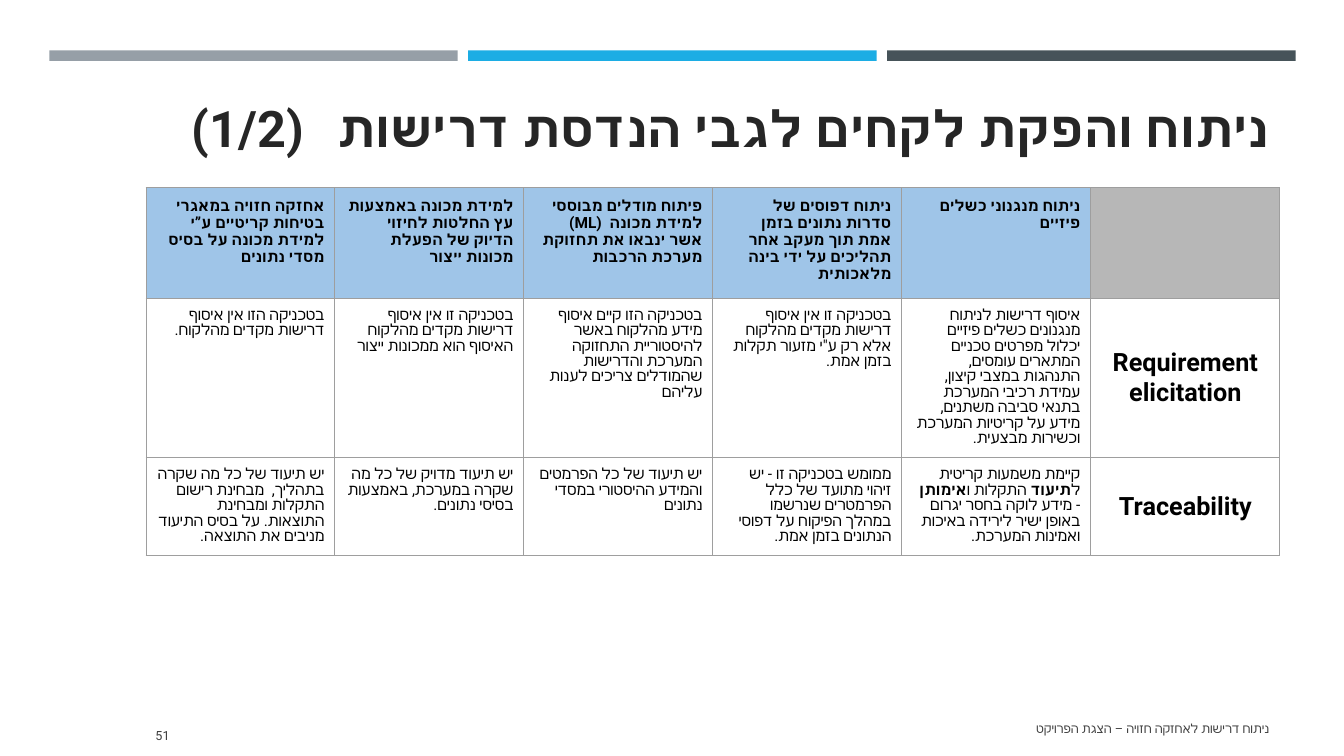
from lxml.etree import SubElement as Sub
from pptx import Presentation
from pptx.dml.color import RGBColor as RGB
from pptx.enum.shapes import MSO_SHAPE as Shape
from pptx.enum.text import MSO_ANCHOR as Anchor, PP_ALIGN as Align
from pptx.oxml.ns import qn
from pptx.util import Pt

PX = 9525
FONT = "Roboto"
SLATE = RGB(0x46, 0x53, 0x59)
SILVER = RGB(0x96, 0x9F, 0xA7)
CYAN = RGB(0x1C, 0xAD, 0xE4)
SKY = RGB(0x9F, 0xC5, 0xE8)
GRAY = RGB(0xB7, 0xB7, 0xB7)
RULE = RGB(0x9E, 0x9E, 0x9E)
INK = RGB(0x26, 0x26, 0x26)
DIM = RGB(0x3F, 0x3F, 0x3F)
BLACK = RGB(0, 0, 0)

HEADS = [
    "אחזקה חזויה במאגרי בטיחות קריטיים ע”י למידת מכונה על בסיס מסדי נתונים",
    "למידת מכונה באמצעות עץ החלטות לחיזוי הדיוק של הפעלת מכונות ייצור",
    "פיתוח מודלים מבוססי למידת מכונה  (ML)  אשר ינבאו את תחזוקת מערכת הרכבות",
    "ניתוח דפוסים של סדרות נתונים בזמן אמת תוך מעקב אחר תהליכים על ידי בינה מלאכותית",
    "ניתוח מנגנוני כשלים פיזיים",
    "",
]
# Asterisks switch bold on and off
BODY = [
    [
        "בטכניקה הזו אין איסוף דרישות מקדים מהלקוח.",
        "בטכניקה זו אין איסוף דרישות מקדים מהלקוח\nהאיסוף הוא ממכונות ייצור",
        "בטכניקה הזו קיים איסוף מידע מהלקוח באשר להיסטוריית התחזוקה המערכת "
        "והדרישות שהמודלים צריכים לענות עליהם",
        "בטכניקה זו אין איסוף דרישות מקדים מהלקוח אלא רק ע\"י מזעור תקלות בזמן אמת.",
        "איסוף דרישות לניתוח מנגנונים כשלים פיזיים יכלול מפרטים טכניים המתארים "
        "עומסים, התנהגות במצבי קיצון, עמידת רכיבי המערכת בתנאי סביבה משתנים, "
        "מידע על קריטיות המערכת וכשירות מבצעית.",
        "Requirement elicitation",
    ],
    [
        "יש תיעוד של כל מה שקרה בתהליך,  מבחינת רישום התקלות ומבחינת התוצאות. "
        "על בסיס התיעוד מניבים את התוצאה.",
        "יש תיעוד מדויק של כל מה שקרה במערכת, באמצעות בסיסי נתונים.",
        "יש תיעוד של כל הפרמטים והמידע ההיסטורי במסדי נתונים",
        "ממומש בטכניקה זו - יש זיהוי מתועד של כלל הפרמטרים שנרשמו במהלך "
        "הפיקוח על דפוסי הנתונים בזמן אמת.",
        "קיימת משמעות קריטית ל*תיעוד* התקלות ו*אימותן *- מידע לוקה בחסר יגרום "
        "באופן ישיר לירידה באיכות ואמינות המערכת.",
        "Traceability",
    ],
]


def write(frame, text, size, color, bold=False, rtl=True, align=Align.RIGHT,
          lead=None, stops=()):
    frame.word_wrap = True
    for i, line in enumerate(text.split("\n")):
        para = frame.add_paragraph() if i else frame.paragraphs[0]
        para.alignment = align
        if lead:
            para.line_spacing = Pt(lead)
        props = para._p.get_or_add_pPr()
        if rtl:
            props.set("rtl", "1")
        if stops:
            tabs = Sub(props, qn("a:tabLst"))
            for stop in stops:
                Sub(tabs, qn("a:tab"), pos=str(stop * PX), algn="l")
        for j, part in enumerate(line.split("*")):
            run = para.add_run()
            run.text = part
            font = run.font
            font.name, font.size = FONT, Pt(size)
            font.bold = bold or j % 2 == 1
            font.color.rgb = color
            Sub(run._r.get_or_add_rPr(), qn("a:cs"), typeface=FONT)


def add_bars(slide, x, y, w, h):
    gap = 10
    wide = (w - 2 * gap) // 3
    for i, color in enumerate([SILVER, CYAN, SLATE]):
        left = x + i * (wide + gap)
        bar = slide.shapes.add_shape(Shape.RECTANGLE, left * PX, y * PX, wide * PX, h * PX)
        bar.shadow.inherit = False
        bar.fill.solid()
        bar.fill.fore_color.rgb = color
        bar.line.fill.background()


def add_text(slide, x, y, w, h, text, size, color, bold=False, anchor=Anchor.MIDDLE, stops=()):
    box = slide.shapes.add_textbox(x * PX, y * PX, w * PX, h * PX)
    box.text_frame.vertical_anchor = anchor
    write(box.text_frame, text, size, color, bold, stops=stops)


def style(cell, fill=None, inset=10):
    cell.margin_left = inset * PX
    cell.margin_right = cell.margin_top = cell.margin_bottom = 10 * PX
    props = cell._tc.get_or_add_tcPr()
    for side in ["lnL", "lnR", "lnT", "lnB"]:
        line = Sub(props, qn("a:" + side), w=str(Pt(0.75)))
        solid = Sub(line, qn("a:solidFill"))
        Sub(solid, qn("a:srgbClr"), val=str(RULE))
    if fill is None:
        cell.fill.background()
    else:
        cell.fill.solid()
        cell.fill.fore_color.rgb = fill


def add_grid(slide, x, y, w, rows):
    count = len(HEADS)
    frame = slide.shapes.add_table(len(rows), count, x * PX, y * PX, w * PX, sum(rows) * PX)
    table = frame.table
    table.first_row = table.horz_banding = False
    for col in table.columns:
        col.width = w // count * PX
    for row, high in zip(table.rows, rows):
        row.height = high * PX
    # Header row
    for i, text in enumerate(HEADS):
        cell = table.cell(0, i)
        style(cell, SKY if text else GRAY, 12)
        if text:
            write(cell.text_frame, text, 11, BLACK, bold=True, lead=12.1)
    # Body rows, with the topic in the last column
    for r, texts in enumerate(BODY, 1):
        for c, text in enumerate(texts):
            cell = table.cell(r, c)
            style(cell)
            if c == count - 1:
                cell.vertical_anchor = Anchor.MIDDLE
                write(cell.text_frame, text, 18, BLACK, True, False, Align.CENTER)
            else:
                write(cell.text_frame, text, 11, BLACK, rtl=c != 2, lead=11)


def main():
    deck = Presentation()
    deck.slide_width, deck.slide_height = 1280 * PX, 720 * PX
    slide = deck.slides.add_slide(deck.slide_layouts[6])
    add_bars(slide, 47, 48, 1187, 10)
    # Footer and page number
    add_text(slide, 492, 675, 726, 38, "ניתוח דרישות לאחזקה חזויה – הצגת הפרויקט", 9, DIM)
    add_text(slide, 61, 681, 110, 38, "51", 9, DIM)
    # Title and table
    add_text(slide, 61, 73, 1158, 82, "ניתוח והפקת לקחים לגבי הנדסת דרישות\t\t(1/2)",
             36, INK, True, Anchor.BOTTOM, (920, 960))
    add_grid(slide, 139, 179, 1080, [105, 151, 93])
    deck.save("out.pptx")


if __name__ == "__main__":
    main()
